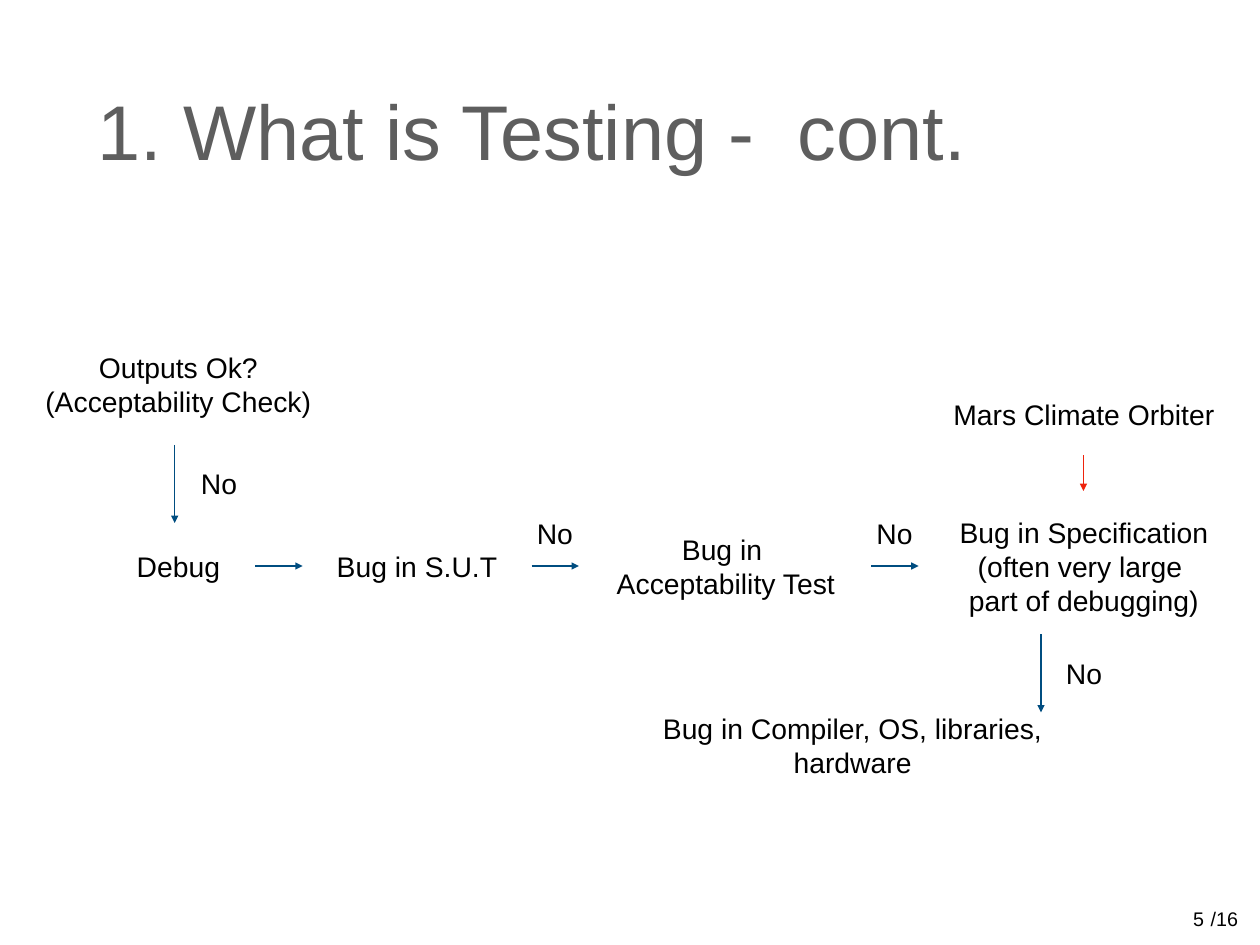
from pptx import Presentation
from pptx.dml.color import RGBColor
from pptx.enum.shapes import MSO_CONNECTOR
from pptx.enum.text import MSO_ANCHOR, PP_ALIGN
from pptx.oxml.ns import qn
from pptx.util import Pt
from lxml import etree

STRAIGHT = MSO_CONNECTOR.STRAIGHT
TOP, MIDDLE = MSO_ANCHOR.TOP, MSO_ANCHOR.MIDDLE
LEFT, CENTER = PP_ALIGN.LEFT, PP_ALIGN.CENTER

BLACK = RGBColor(0x00, 0x00, 0x00)
GRAY = RGBColor(0x5E, 0x5E, 0x5E)
BLUE = RGBColor(0x00, 0x4D, 0x80)
RED = RGBColor(0xEE, 0x23, 0x0C)

FONT = "Arial"
INSET = 4
LINE_HEIGHT = 28


def add_text(page, box, lines, size, color=BLACK, align=CENTER, anchor=MIDDLE, wrap=False):
    """Write one paragraph per line in a box of left, top, width, height."""
    frame = page.shapes.add_textbox(*map(Pt, box)).text_frame
    frame.word_wrap = wrap
    frame.vertical_anchor = anchor
    frame.margin_left = frame.margin_right = Pt(INSET)
    frame.margin_top = frame.margin_bottom = Pt(INSET)
    frame.text = "\n".join(lines)
    for para in frame.paragraphs:
        para.alignment = align
        para.font.name = FONT
        para.font.size = Pt(size)
        para.font.color.rgb = color


def add_arrow(page, x, y, across, down, color=BLUE):
    arrow = page.shapes.add_connector(
        STRAIGHT, Pt(x), Pt(y), Pt(x + across), Pt(y + down))
    arrow.line.color.rgb = color
    arrow.line.width = Pt(1)
    # Arrowhead at the end, and no shadow
    etree.SubElement(arrow.line._get_or_add_ln(), qn("a:tailEnd"), type="triangle")
    etree.SubElement(arrow._element.spPr, qn("a:effectLst"))


def add_title(page, box):
    add_text(page, box, ["1. What is Testing -  cont."], 63, GRAY, LEFT, wrap=True)


def add_debug_flow(page, box):
    left, top = box[:2]
    row = 180  # centre line of the debugging steps
    no_row = row - 27  # labels above the horizontal arrows

    # Steps and answers: centre x, centre y, width, lines
    labels = [
        (113, 32, 226, ["Outputs Ok?", "(Acceptability Check)"]),
        (113, row, 77, ["Debug"]),
        (307, row, 139, ["Bug in S.U.T"]),
        (558, row, 190, ["Bug in ", "Acceptability Test"]),
        (849, row, 221, ["Bug in Specification", "(often very large ", "part of debugging)"]),
        (661, 326, 419, ["Bug in Compiler, OS, libraries, hardware"]),
        (849, 57, 223, ["Mars Climate Orbiter"]),
    ]
    answers = [(146, 113), (419, no_row), (695, no_row), (849, 267)]
    labels += [(x, y, 39, ["No"]) for x, y in answers]
    for x, y, width, lines in labels:
        height = LINE_HEIGHT * len(lines) + 2 * INSET
        label_box = (left + x - width / 2, top + y - height / 2, width, height)
        add_text(page, label_box, lines, 23)

    # Arrows to the next step
    for x in (175.5, 400, 676):
        add_arrow(page, left + x, top + row, 38.5, 0)
    for x, y in ((110, 81.5), (814, 235.5)):
        add_arrow(page, left + x, top + y, 0, 63.5)

    # Arrow from the example to the specification
    add_arrow(page, left + 848.5, top + 90, 0, 29, RED)


def add_page_number(page, box):
    left, top, width, height = box
    number_width = 18
    add_text(page, (left, top, number_width, height), ["5"], 16, anchor=TOP)
    add_text(page, (left + 14, top, width - 14, height), ["/16"], 16, anchor=TOP)


deck = Presentation()
deck.slide_width, deck.slide_height = Pt(1024), Pt(768)
page = deck.slides.add_slide(deck.slide_layouts[6])
add_title(page, (75, 20, 874, 170))
add_debug_flow(page, (32, 280, 961, 344))
add_page_number(page, (965, 733, 46, 25))
deck.save("out.pptx")
